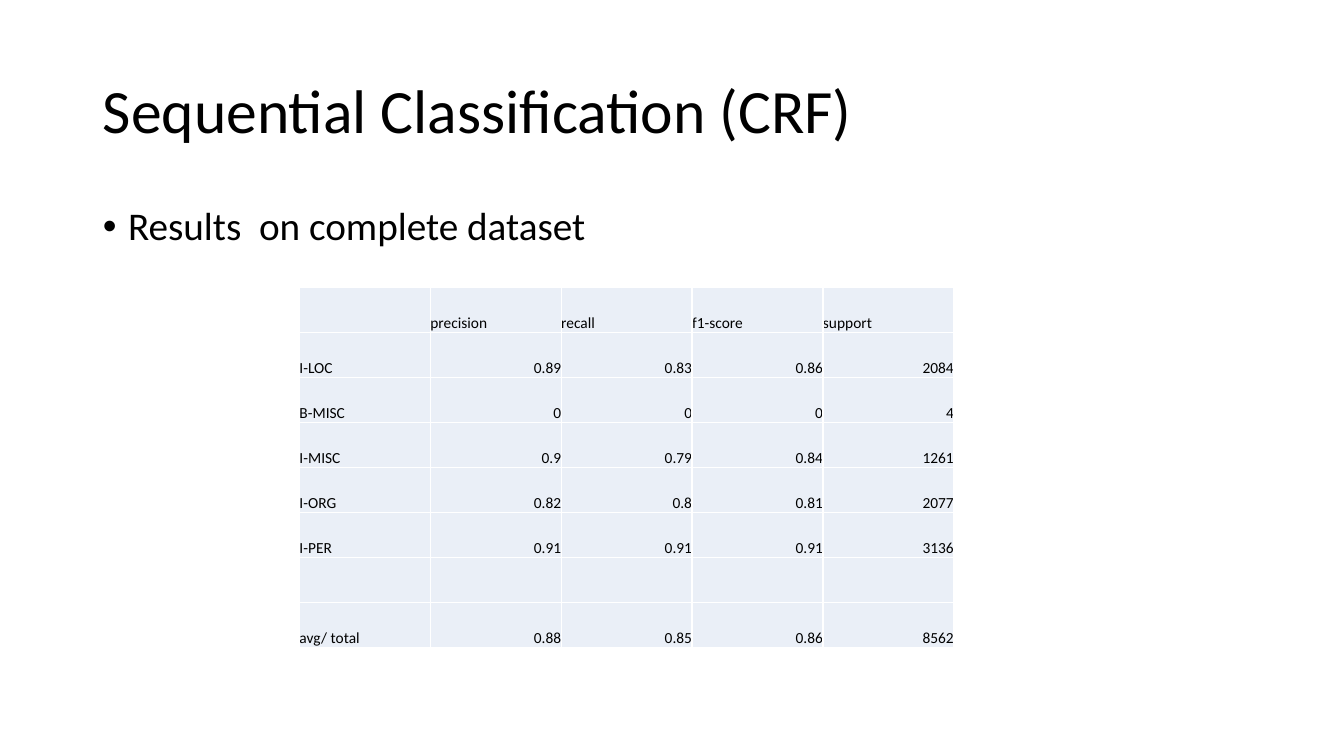
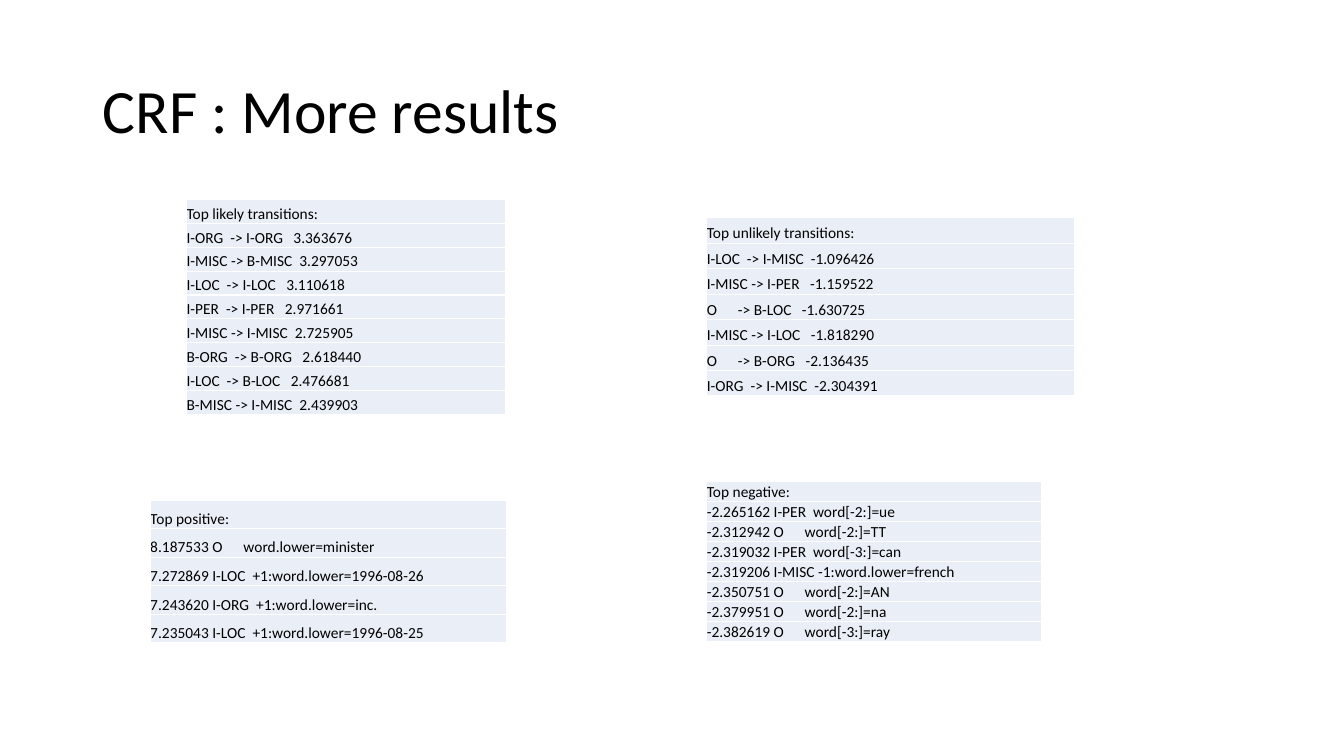
"""Build two slides with the results of a CRF sequence classifier."""
from lxml import etree
from pptx import Presentation
from pptx.dml.color import RGBColor
from pptx.enum.text import MSO_ANCHOR, PP_ALIGN
from pptx.oxml.ns import qn
from pptx.util import Inches, Pt

LEFT, RIGHT = PP_ALIGN.LEFT, PP_ALIGN.RIGHT
MIDDLE, BOTTOM = MSO_ANCHOR.MIDDLE, MSO_ANCHOR.BOTTOM
FONT, INK, PALE, WHITE = "Calibri", "000000", "EAEFF7", "FFFFFF"
WIDE, HIGH = Inches(13.33), Inches(7.5)
TITLE = (6.9, 5.33, 86.27, 19.33)
BODY = (6.9, 26.67, 86.27, 63.47)


def place(x, y, w, h):
    """Turn percentages of the slide into left, top, width and height."""
    return [int(part * side / 100) for part, side in zip((x, y, w, h), (WIDE, HIGH) * 2)]


def write(frame, text, size=11, align=LEFT, line=1.0, before=0):
    """Put one formatted paragraph in a text frame and return it."""
    para = frame.paragraphs[0]
    para.alignment, para.line_spacing, para.space_before = align, line, Pt(before)
    run = para.add_run()
    run.text = text
    run.font.name, run.font.size = FONT, Pt(size)
    run.font.color.rgb = RGBColor.from_string(INK)
    return para


scores = [
    ["", "precision", "recall", "f1-score", "support"],
    ["I-LOC", "0.89", "0.83", "0.86", "2084"],
    ["B-MISC", "0", "0", "0", "4"],
    ["I-MISC", "0.9", "0.79", "0.84", "1261"],
    ["I-ORG", "0.82", "0.8", "0.81", "2077"],
    ["I-PER", "0.91", "0.91", "0.91", "3136"],
    [""] * 5,
    ["avg/ total", "0.88", "0.85", "0.86", "8562"],
]
likely = """Top likely transitions:
I-ORG  -> I-ORG   3.363676
I-MISC -> B-MISC  3.297053
I-LOC  -> I-LOC   3.110618
I-PER  -> I-PER   2.971661
I-MISC -> I-MISC  2.725905
B-ORG  -> B-ORG   2.618440
I-LOC  -> B-LOC   2.476681
B-MISC -> I-MISC  2.439903"""
rare = """Top unlikely transitions:
I-LOC  -> I-MISC  -1.096426
I-MISC -> I-PER   -1.159522
O      -> B-LOC   -1.630725
I-MISC -> I-LOC   -1.818290
O      -> B-ORG   -2.136435
I-ORG  -> I-MISC  -2.304391"""
plus = """Top positive:
8.187533 O      word.lower=minister
7.272869 I-LOC  +1:word.lower=1996-08-26
7.243620 I-ORG  +1:word.lower=inc.
7.235043 I-LOC  +1:word.lower=1996-08-25"""
minus = """Top negative:
-2.265162 I-PER  word[-2:]=ue
-2.312942 O      word[-2:]=TT
-2.319032 I-PER  word[-3:]=can
-2.319206 I-MISC -1:word.lower=french
-2.350751 O      word[-2:]=AN
-2.379951 O      word[-2:]=na
-2.382619 O      word[-3:]=ray"""
lists = [
    (likely, (13.88, 26.4, 23.71, 28.4)),
    (rare, (52.59, 28.8, 27.38, 23.6)),
    (plus, (11.18, 66.13, 26.48, 18.93)),
    (minus, (52.59, 63.73, 24.91, 21.2)),
]
pages = [
    ("Sequential Classification (CRF)", "Results  on complete dataset",
     [(scores, (22.28, 38, 48.69, 47.73))]),
    ("CRF : More results", "",
     [([[row] for row in text.splitlines()], area) for text, area in lists]),
]

deck = Presentation()
deck.slide_width, deck.slide_height = WIDE, HIGH
for head, point, tables in pages:
    slide = deck.slides.add_slide(deck.slide_layouts[1 if point else 5])
    title = slide.shapes.title
    title.left, title.top, title.width, title.height = place(*TITLE)
    title.text_frame.vertical_anchor = MIDDLE
    write(title.text_frame, head, size=44, line=0.9)

    if point:
        body = slide.placeholders[1]
        body.left, body.top, body.width, body.height = place(*BODY)
        para = write(body.text_frame, point, size=28, line=0.9, before=10)
        props = para._p.get_or_add_pPr()
        props.set("marL", str(Inches(0.25)))
        props.set("indent", str(-Inches(0.25)))

    for rows, area in tables:
        table = slide.shapes.add_table(len(rows), len(rows[0]), *place(*area)).table
        table.first_row = table.horz_banding = False
        for r, row in enumerate(rows):
            for c, text in enumerate(row):
                cell = table.cell(r, c)
                cell.margin_left = cell.margin_right = cell.margin_top = cell.margin_bottom = 0
                cell.vertical_anchor = BOTTOM
                props = cell._tc.get_or_add_tcPr()
                for side in ("a:lnL", "a:lnR", "a:lnT", "a:lnB"):
                    edge = etree.SubElement(props, qn(side), w=str(Pt(1)))
                    fill = etree.SubElement(edge, qn("a:solidFill"))
                    etree.SubElement(fill, qn("a:srgbClr"), val=WHITE)
                cell.fill.solid()
                cell.fill.fore_color.rgb = RGBColor.from_string(PALE)
                if text:
                    write(cell.text_frame, text, align=RIGHT if r and c else LEFT)

deck.save("out.pptx")
